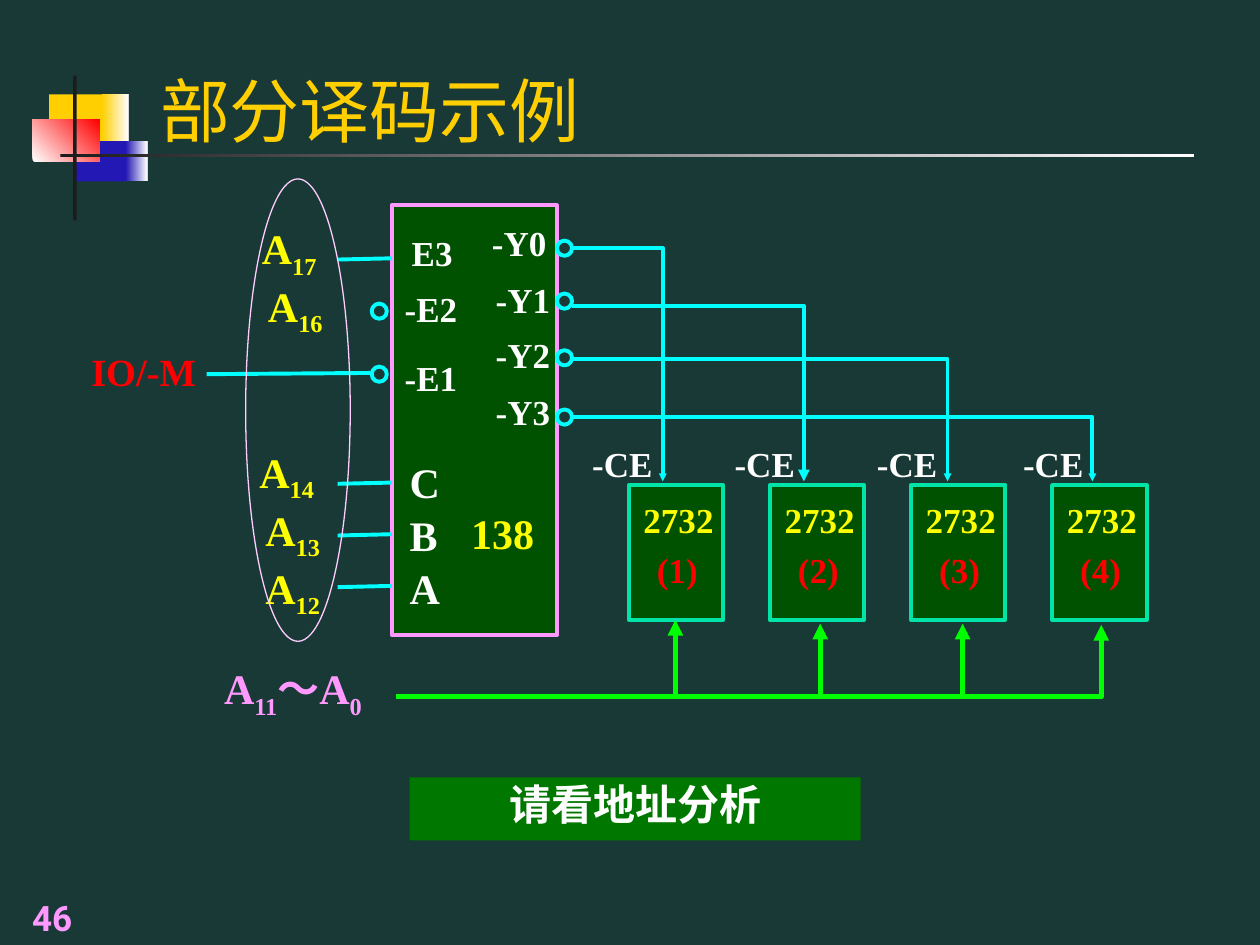
from pptx import Presentation
from pptx.dml.color import RGBColor
from pptx.enum.shapes import MSO_CONNECTOR, MSO_SHAPE
from pptx.enum.text import MSO_ANCHOR, PP_ALIGN
from pptx.oxml.ns import qn
from pptx.util import Emu, Pt
from lxml import etree

PX = 9144  # 100 px to the inch
RECT, OVAL = MSO_SHAPE.RECTANGLE, MSO_SHAPE.OVAL
STRAIGHT = MSO_CONNECTOR.STRAIGHT
LEFT, CENTER, RIGHT = PP_ALIGN.LEFT, PP_ALIGN.CENTER, PP_ALIGN.RIGHT
TOP, BOTTOM = MSO_ANCHOR.TOP, MSO_ANCHOR.BOTTOM
SERIF, SANS = "Times New Roman", "Roboto"

BACKGROUND = RGBColor(0x19, 0x39, 0x36)
GOLD = RGBColor(0xFF, 0xCF, 0x01)
BLUE = RGBColor(0x23, 0x18, 0xB4)
RED = RGBColor(0xFF, 0x00, 0x00)
BLACK = RGBColor(0x1C, 0x1C, 0x1C)
WHITE = RGBColor(0xFF, 0xFF, 0xFF)
YELLOW = RGBColor(0xFF, 0xFF, 0x00)
PINK = RGBColor(0xFF, 0x99, 0xFF)
PALE_PINK = RGBColor(0xFF, 0xCC, 0xFF)
CYAN = RGBColor(0x00, 0xFF, 0xFF)
LIME = RGBColor(0x00, 0xFF, 0x00)
MINT = RGBColor(0x00, 0xE4, 0xA8)
CHIP_GREEN = RGBColor(0x00, 0x52, 0x00)
BANNER_GREEN = RGBColor(0x00, 0x78, 0x00)


def emu(*lengths):
    return [Emu(length * PX) for length in lengths]


def add_box(page, kind, box, fill=None, line=None, weight=2.25):
    """Add a shape; a (start, end, angle) fill becomes a gradient."""
    shape = page.shapes.add_shape(kind, *emu(*box))
    shape.shadow.inherit = False
    if fill is None:
        shape.fill.background()
    elif isinstance(fill, RGBColor):
        shape.fill.solid()
        shape.fill.fore_color.rgb = fill
    else:
        start, end, angle = fill
        shape.fill.gradient()
        shape.fill.gradient_angle = angle
        for stop, color, position in zip(shape.fill.gradient_stops, (start, end), (0, 1)):
            stop.color.rgb = color
            stop.position = position
    if line is None:
        shape.line.fill.background()
    else:
        shape.line.color.rgb = line
        shape.line.width = Pt(weight)
    return shape


def write(shape, lines, size, color, align=CENTER, font=SERIF, bold=True,
          anchor=TOP, inset=1, gap=0):
    """Fill a shape with lines; "_" switches between normal and subscript."""
    frame = shape.text_frame
    frame.word_wrap = True
    frame.vertical_anchor = anchor
    frame.margin_left = frame.margin_right = Emu(inset * PX)
    frame.margin_top = frame.margin_bottom = Emu(min(inset, 5) * PX)
    for index, line in enumerate(lines):
        para = frame.add_paragraph() if index else frame.paragraphs[0]
        para.alignment = align
        para.space_before = Pt(gap if index else 0)
        para.font.size = Pt(size)
        para.font.name = font
        para.font.bold = bold
        para.font.color.rgb = color
        for part, text in enumerate(line.split("_")):
            span = para.add_run()
            span.text = text
            if part % 2:
                span.font._element.set("baseline", "-25000")


def add_label(page, box, lines, size, color, **style):
    write(page.shapes.add_textbox(*emu(*box)), lines, size, color, **style)


def style_line(line, color, weight, arrow=None):
    line.color.rgb = color
    line.width = Pt(weight)
    if arrow:
        etree.SubElement(line._get_or_add_ln(), qn("a:tailEnd"),
                         type="triangle", w=arrow, len=arrow)


def add_wire(page, start, end, color=CYAN, weight=2.25, arrow=None):
    wire = page.shapes.add_connector(STRAIGHT, *emu(*start, *end))
    style_line(wire.line, color, weight, arrow)
    etree.SubElement(wire._element.spPr, qn("a:effectLst"))


def add_bent_wire(page, points, color, weight, arrow):
    builder = page.shapes.build_freeform(*points[0], scale=PX)
    builder.add_line_segments(points[1:], close=False)
    wire = builder.convert_to_shape()
    wire.shadow.inherit = False
    wire.fill.background()
    style_line(wire.line, color, weight, arrow)


def add_heading(page, left, top):
    blocks = [
        ((13, 15, 46, 37), GOLD),
        ((55, 15, 21, 37), (GOLD, WHITE, 0)),
        ((33, 52, 41, 32), BLUE),
        ((74, 52, 17, 32), (BLUE, WHITE, 0)),
        ((0, 35, 53, 33), (WHITE, RED, 45)),
        ((32, 0, 3, 115), BLACK),
        ((22, 62, 900, 3), (BLACK, WHITE, 0)),
    ]
    for (x, y, width, height), fill in blocks:
        add_box(page, RECT, (left + x, top + y, width, height), fill)
    title = page.shapes.title
    title.left, title.top, title.width, title.height = emu(left + 91, top - 27, 852, 92)
    write(title, ["部分译码示例"], 40, GOLD, align=LEFT, font=SANS, bold=False,
          anchor=BOTTOM, inset=10)


def add_decoder(page, left, top):
    add_box(page, RECT, (left, top, 131, 341), CHIP_GREEN, PINK)
    add_label(page, (left + 56, top + 239, 64, 50), ["138"], 24, YELLOW)
    add_label(page, (left + 13, top + 198, 41, 157), ["C", "B", "A"], 24, WHITE,
              align=LEFT, gap=1.5)
    pins = [("E3", -11, 20, 86), ("-E2", -22, 64, 106), ("-E1", -22, 119, 106),
            ("-Y0", 48, 12, 106), ("-Y1", 51, 57, 106),
            ("-Y2", 51, 101, 106), ("-Y3", 51, 146, 106)]
    for name, x, y, width in pins:
        add_label(page, (left + x, top + y, width, 41), [name], 20, WHITE)
    bubbles = [(-16, 78), (-16, 128), (131, 28), (131, 70), (131, 115), (131, 162)]
    for x, y in bubbles:
        add_box(page, OVAL, (left + x, top + y, 12, 12), line=CYAN)
    for y in (42, 220, 261, 302):
        add_wire(page, (left, top + y), (left - 43, top + y + 1))
    add_wire(page, (left - 17, top + 133), (left - 147, top + 134))


def add_inputs(page, left, top):
    add_label(page, (left + 121, top + 34, 75, 106), ["A_17 ", "A_16"], 24, YELLOW,
              align=RIGHT)
    add_label(page, (left + 130, top + 211, 64, 152), ["A_14 ", "A_13", "A_12"], 24,
              YELLOW, align=RIGHT, gap=0.4)
    add_label(page, (left, top + 133, 106, 41), ["IO/-M"], 22, RED)
    add_label(page, (left + 97, top + 383, 149, 66), ["A_11_～A_0"], 24, PINK)
    add_box(page, OVAL, (left + 134, top, 83, 367), line=PALE_PINK, weight=0.75)


def add_memory_chip(page, left, top, number):
    add_box(page, RECT, (left, top, 75, 107), CHIP_GREEN, MINT)
    add_label(page, (left - 3, top + 10, 85, 50), ["2732"], 20, YELLOW)
    add_label(page, (left + 14, top + 49, 49, 49), [f"({number})"], 20, RED)


def add_memory_bank(page, left, top):
    """Four chips with their select wires above and the address bus below."""
    select_wires = [(27, 197, -58, "sm"), (139, 243, 55, "med"),
                    (253, 285, 168, "sm"), (368, 331, 284, "sm")]
    for index, (x, y, label_x, arrow) in enumerate(select_wires):
        add_memory_chip(page, left + 112 * index, top, index + 1)
        add_bent_wire(page, [(454, y), (left + x, y), (left + x, top - 3)],
                      CYAN, 2.25, arrow)
        add_label(page, (left + label_x, top - 35, 106, 41), ["-CE"], 20, WHITE)
    bus = top + 168
    for x, tip in ((37, 107), (152, 110), (265, 110)):
        add_wire(page, (left + x, bus), (left + x, top + tip), LIME, 3, "med")
    add_bent_wire(page, [(314, bus), (left + 375, bus), (left + 375, top + 111)],
                  LIME, 3, "med")


def main():
    deck = Presentation()
    deck.slide_width, deck.slide_height = emu(1000, 750)
    page = deck.slides.add_slide(deck.slide_layouts[5])
    page.background.fill.solid()
    page.background.fill.fore_color.rgb = BACKGROUND
    add_heading(page, 26, 60)
    add_decoder(page, 311, 163)
    add_memory_bank(page, 499, 385)
    add_inputs(page, 61, 142)
    banner = add_box(page, RECT, (325, 617, 358, 50), BANNER_GREEN)
    write(banner, ["请看地址分析"], 24, WHITE)
    add_label(page, (0, 700, 83, 50), ["46"], 20, PINK, font=SANS, anchor=BOTTOM, inset=10)
    deck.save("out.pptx")


if __name__ == "__main__":
    main()
